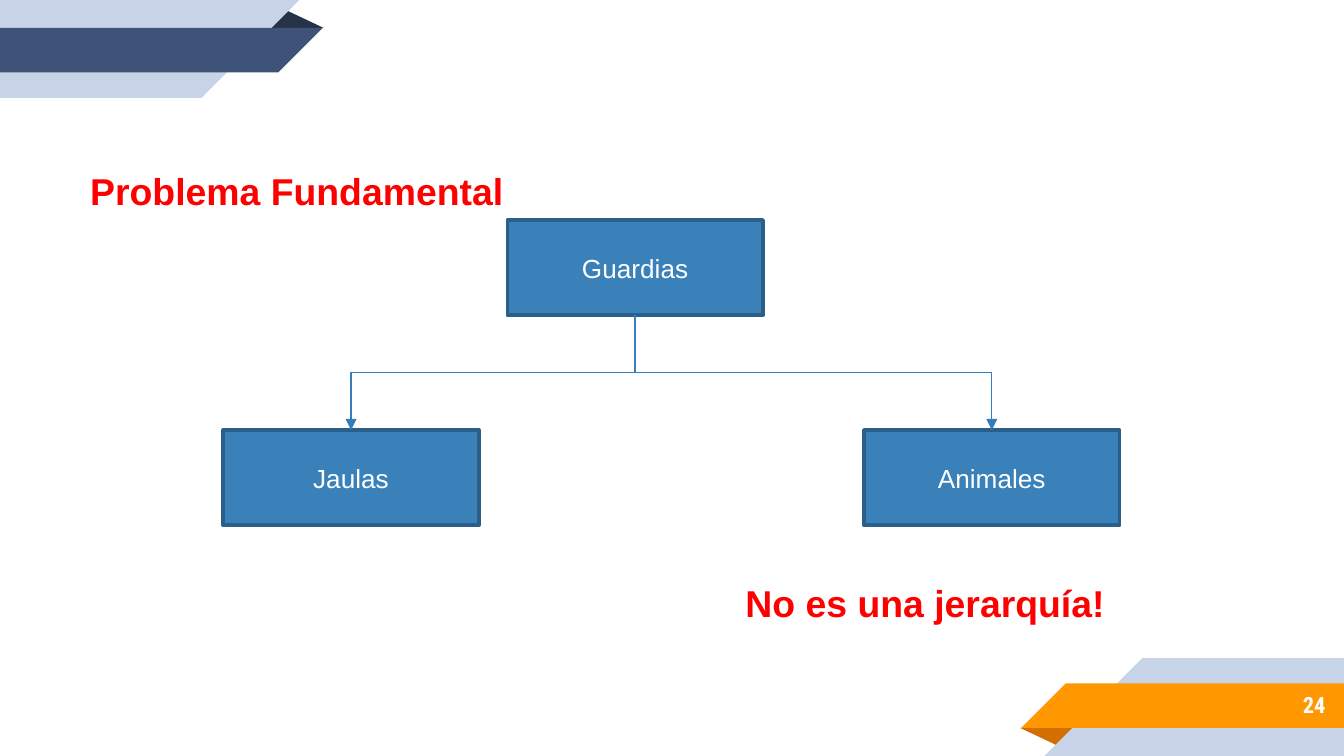
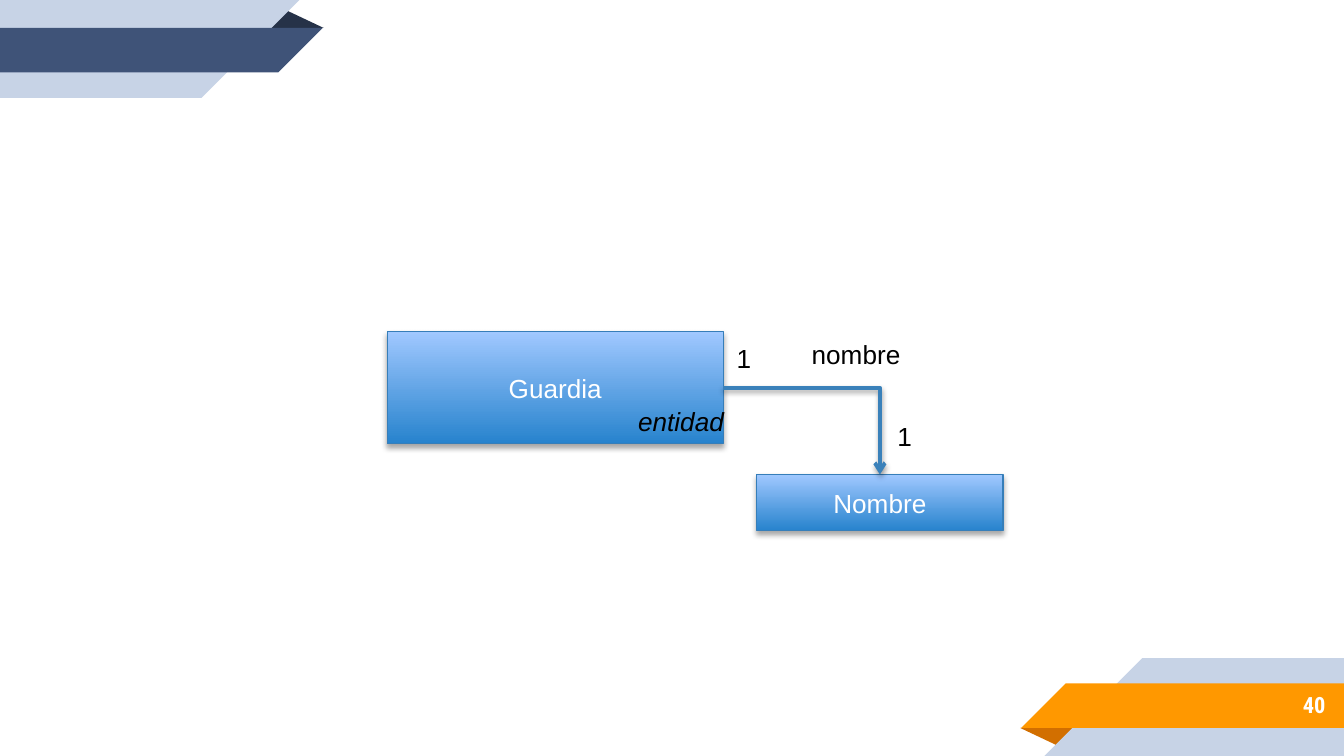
from lxml import etree
from pptx import Presentation
from pptx.dml.color import RGBColor
from pptx.enum import shapes, text
from pptx.oxml.ns import qn
from pptx.util import Cm, Pt

WIDTH, HEIGHT = 25.4, 14.29
LIGHT, NAVY, NAVY_FOLD, ORANGE, ORANGE_FOLD = "C7D3E6", "3F5378", "263248", "FF9800", "D26F00"
BLUE, BLUE_EDGE, BLUE_LINE = "3A81BA", "2B5F8A", "367EB9"
GRADIENT = ("2783CD", "A0C8FF")
WHITE, BLACK, RED = "FFFFFF", "000000", "FF0000"
color = RGBColor.from_string


def write(shape, content, size, hex_color, align, bold=False, italic=False, font="Arial"):
    shape.text_frame.text = content
    paragraph = shape.text_frame.paragraphs[0]
    paragraph.alignment = align
    run_font = paragraph.runs[0].font
    run_font.name, run_font.size = font, Pt(size)
    run_font.bold, run_font.italic = bold, italic
    run_font.color.rgb = color(hex_color)


def add_shadow(effects, opacity, distance):
    shadow = etree.SubElement(effects, qn("a:outerShdw"), blurRad=str(Pt(3.1)),
                              dist=str(Pt(distance)), dir="5400000", rotWithShape="0")
    black = etree.SubElement(shadow, qn("a:srgbClr"), val=BLACK)
    etree.SubElement(black, qn("a:alpha"), val=str(opacity * 1000))


presentation = Presentation()
presentation.slide_width, presentation.slide_height = Cm(WIDTH), Cm(HEIGHT)
hierarchy = presentation.slides.add_slide(presentation.slide_layouts[5])
entity = presentation.slides.add_slide(presentation.slide_layouts[6])

# Corner ribbons on the master: the bottom one is the top one turned by 180 degrees
fold = [(5.03, 0.53), (5.38, 0.18), (6.12, 0.53)]
back = [(0, 0), (5.66, 0), (3.81, 1.85), (0, 1.85)]
front = [(0, 0.53), (6.1, 0.53), (5.26, 1.37), (0, 1.37)]
master_tree = presentation.slide_master.shapes.element
for turned, fold_color, front_color in ((True, ORANGE_FOLD, ORANGE), (False, NAVY_FOLD, NAVY)):
    for outline, fill in ((fold, fold_color), (back, LIGHT), (front, front_color)):
        points = [(Cm(WIDTH - x), Cm(HEIGHT - y)) if turned else (Cm(x), Cm(y))
                  for x, y in outline]
        builder = hierarchy.shapes.build_freeform(*points[0])
        builder.add_line_segments(points[1:], close=True)
        ribbon = builder.convert_to_shape()
        ribbon.shadow.inherit = False
        ribbon.fill.solid()
        ribbon.fill.fore_color.rgb = color(fill)
        ribbon.line.fill.background()
        master_tree.append(ribbon.element)

# Slide numbers
for slide, number in ((hierarchy, "24"), (entity, "40")):
    box = slide.shapes.add_textbox(Cm(21.16), Cm(12.88), Cm(4.14), Cm(0.89))
    box.text_frame.word_wrap = True
    box.text_frame.vertical_anchor = text.MSO_ANCHOR.MIDDLE
    box.text_frame.margin_top = box.text_frame.margin_bottom = Cm(0.25)
    write(box, number, 12, WHITE, text.PP_ALIGN.RIGHT, bold=True, font="Roboto Condensed")

# Title
title = hierarchy.shapes.title
title.left, title.top, title.width, title.height = Cm(1.45), Cm(3.05), Cm(8.38), Cm(1.12)
title.text_frame.word_wrap = False
title.text_frame.auto_size = text.MSO_AUTO_SIZE.SHAPE_TO_FIT_TEXT
title.text_frame.vertical_anchor = text.MSO_ANCHOR.TOP
write(title, "Problema Fundamental", 20, RED, text.PP_ALIGN.LEFT, bold=True)

# Boxes of both diagrams
boxes = {}
for slide, name, left, top, width, height in (
    (hierarchy, "Guardias", 9.59, 4.16, 4.83, 1.8),
    (hierarchy, "Jaulas", 4.22, 8.13, 4.83, 1.8),
    (hierarchy, "Animales", 16.33, 8.13, 4.83, 1.8),
    (entity, "Guardia", 7.32, 6.27, 6.35, 2.12),
    (entity, "Nombre", 14.3, 8.97, 4.66, 1.06),
):
    box = slide.shapes.add_shape(shapes.MSO_SHAPE.RECTANGLE,
                                 Cm(left), Cm(top), Cm(width), Cm(height))
    box.shadow.inherit = False
    if slide is hierarchy:
        box.fill.solid()
        box.fill.fore_color.rgb = color(BLUE)
        box.line.color.rgb, box.line.width = color(BLUE_EDGE), Pt(2)
    else:
        box.fill.gradient()
        box.fill.gradient_angle = 90
        for stop, position, stop_color in zip(box.fill.gradient_stops, (0, 1), GRADIENT):
            stop.position, stop.color.rgb = position, color(stop_color)
        box.line.color.rgb, box.line.width = color(BLUE_LINE), Pt(0.75)
        add_shadow(box.element.spPr.find(qn("a:effectLst")), 35, 1.8)
    box.text_frame.vertical_anchor = text.MSO_ANCHOR.MIDDLE
    write(box, name, 14, WHITE, text.PP_ALIGN.CENTER)
    boxes[name] = box

# Elbow arrows
for slide, source, side, target, line_color, width, head in (
    (hierarchy, "Guardias", 2, "Jaulas", BLUE_LINE, 0.75, "triangle"),
    (hierarchy, "Guardias", 2, "Animales", BLUE_LINE, 0.75, "triangle"),
    (entity, "Guardia", 3, "Nombre", BLUE, 2, "arrow"),
):
    arrow = slide.shapes.add_connector(shapes.MSO_CONNECTOR.ELBOW, 0, 0, 0, 0)
    arrow.begin_connect(boxes[source], side)
    arrow.end_connect(boxes[target], 0)
    arrow.line.color.rgb, arrow.line.width = color(line_color), Pt(width)
    properties = arrow.element.spPr
    etree.SubElement(properties.find(qn("a:ln")), qn("a:tailEnd"), type=head)
    effects = etree.SubElement(properties, qn("a:effectLst"))
    if slide is entity:
        properties.find(qn("a:prstGeom")).set("prst", "bentConnector2")
        add_shadow(effects, 38, 1.6)
    else:
        # A quarter turn makes the elbow leave downwards
        to_right = arrow.end_x > arrow.begin_x
        center_x = (arrow.begin_x + arrow.end_x) // 2
        center_y = (arrow.begin_y + arrow.end_y) // 2
        arrow.width, arrow.height = arrow.height, arrow.width
        arrow.left, arrow.top = center_x - arrow.width // 2, center_y - arrow.height // 2
        arrow.rotation = 270 if to_right else 90
        properties.find(qn("a:xfrm")).set("flipH", "1" if to_right else "0")

# Labels
for slide, label, left, top, width, height, size, label_color in (
    (hierarchy, "No es una jerarquía!", 13.84, 10.85, 7.37, 1.12, 20, RED),
    (entity, "1", 16.71, 7.82, 0.84, 1.02, 14, BLACK),
    (entity, "nombre", 15.09, 6.27, 2.18, 0.86, 14, BLACK),
    (entity, "1", 13.67, 6.35, 0.84, 1.02, 14, BLACK),
    (entity, "entidad", 11.81, 7.54, 3.56, 0.86, 14, BLACK),
):
    box = slide.shapes.add_textbox(Cm(left), Cm(top), Cm(width), Cm(height))
    box.text_frame.word_wrap = label == "entidad"
    box.text_frame.auto_size = text.MSO_AUTO_SIZE.SHAPE_TO_FIT_TEXT
    write(box, label, size, label_color, text.PP_ALIGN.LEFT,
          bold=slide is hierarchy, italic=label == "entidad")

presentation.save("out.pptx")
